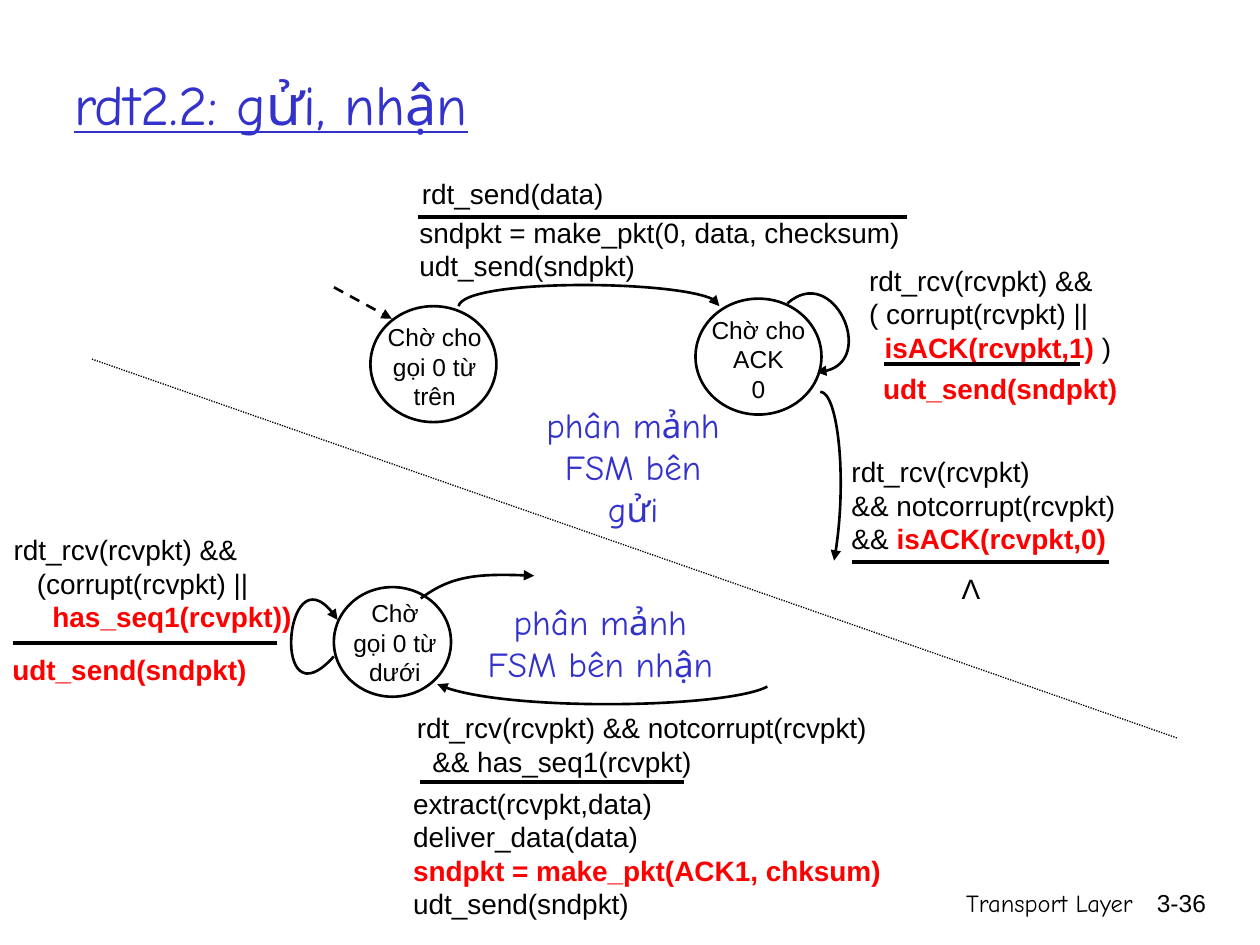
"""Build the rdt2.2 sender and receiver state machine slide."""
from lxml import etree
from pptx import Presentation
from pptx.dml.color import RGBColor
from pptx.enum.dml import MSO_LINE
from pptx.enum.shapes import MSO_CONNECTOR, MSO_SHAPE
from pptx.enum.text import MSO_ANCHOR, PP_ALIGN
from pptx.oxml.ns import qn
from pptx.util import Inches, Pt

BLACK = RGBColor(0x00, 0x00, 0x00)
WHITE = RGBColor(0xFF, 0xFF, 0xFF)
RED = RGBColor(0xFF, 0x00, 0x00)
BLUE = RGBColor(0x33, 0x33, 0xCC)
BODY_FONT = "Arial"
TITLE_FONT = "Comic Neue"
LEFT, CENTER, RIGHT = PP_ALIGN.LEFT, PP_ALIGN.CENTER, PP_ALIGN.RIGHT
MIDDLE, TOP = MSO_ANCHOR.MIDDLE, MSO_ANCHOR.TOP
STRAIGHT, OVAL = MSO_CONNECTOR.STRAIGHT, MSO_SHAPE.OVAL
DASH, DOTS = MSO_LINE.DASH, MSO_LINE.ROUND_DOT


def add_text(shapes, box, lines, size=16, font=BODY_FONT, color=BLACK,
             align=LEFT, anchor=TOP, wrap=True, underline=None):
    """Add lines of text; each line is a list of (text, is_emphasised) runs."""
    label = shapes.add_textbox(*map(Inches, box))
    frame = label.text_frame
    frame.word_wrap = wrap
    frame.vertical_anchor = anchor
    for index, line in enumerate(lines):
        paragraph = frame.add_paragraph() if index else frame.paragraphs[0]
        paragraph.alignment = align
        for text, emphasised in line:
            run = paragraph.add_run()
            run.text = text
            run.font.name = font
            run.font.size = Pt(size)
            run.font.bold = emphasised
            run.font.underline = underline
            run.font.color.rgb = RED if emphasised else color


def plain(*lines):
    """Turn strings into lines without emphasis."""
    return [[(line, False)] for line in lines]


def red(line):
    """Turn a string into one emphasised line."""
    return [(line, True)]


def set_line(shape, width, arrow_end=None):
    """Style an outline, with an arrowhead at headEnd or tailEnd if named."""
    shape.line.color.rgb = BLACK
    shape.line.width = Pt(width)
    if arrow_end:
        outline = shape.line._get_or_add_ln()
        etree.SubElement(outline, qn(f"a:{arrow_end}"), type="triangle")


def add_line(shapes, start, end, width=2.25, dash=None, arrow_end=None):
    """Add a straight line without shadow."""
    line = shapes.add_connector(STRAIGHT, *map(Inches, start + end))
    if dash:
        line.line.dash_style = dash
    set_line(line, width, arrow_end)
    etree.SubElement(line._element.spPr, qn("a:effectLst"))


def add_curve(shapes, points, arrow_end="tailEnd", rotation=0):
    """Add a cubic curve through a start, two control points and an end."""
    start, *others = [(Inches(x), Inches(y)) for x, y in points]
    builder = shapes.build_freeform(*start)
    builder.add_line_segments(others, close=False)
    curve = builder.convert_to_shape()
    segments = list(curve._element.iter(qn("a:lnTo")))
    cubic = etree.SubElement(segments[0].getparent(), qn("a:cubicBezTo"))
    for segment in segments:
        cubic.append(segment[0])
        segment.getparent().remove(segment)
    curve.fill.background()
    curve.shadow.inherit = False
    curve.rotation = rotation
    set_line(curve, 1.5, arrow_end)


def add_state(shapes, circle_box, label_box, lines):
    """Add a state circle grouped with its label."""
    state = shapes.add_group_shape().shapes
    circle = state.add_shape(OVAL, *map(Inches, circle_box))
    circle.fill.solid()
    circle.fill.fore_color.rgb = WHITE
    circle.shadow.inherit = False
    set_line(circle, 1.5)
    add_text(state, label_box, plain(*lines), size=14, align=CENTER)


def add_caption(shapes, box, *lines):
    """Add the blue name of a state machine."""
    add_text(shapes, box, plain(*lines), size=20, font=TITLE_FONT,
             color=BLUE, align=CENTER, wrap=False)


def add_frame(shapes):
    """Add the title, footer and page number."""
    add_text(shapes, (5.92, 7, 3.17, 0.5), plain("Transport Layer"), size=14,
             font=TITLE_FONT, align=RIGHT)
    add_text(shapes, (8.93, 7, 0.74, 0.5), plain("3-36"), size=14, align=RIGHT)
    add_text(shapes, (0.49, 0.19, 8.5, 1.25), plain("rdt2.2: gửi, nhận"),
             size=32, font=TITLE_FONT, color=BLUE, anchor=MIDDLE, underline=True)


def add_sender(shapes):
    """Add the sender's states and transitions."""
    add_state(shapes, (2.94, 2.43, 1, 0.92), (2.87, 2.51, 1.16, 0.67),
              ["Chờ cho gọi 0 từ trên"])
    add_text(shapes, (3.23, 1.66, 4.07, 0.44),
             plain("sndpkt = make_pkt(0, data, checksum)", "udt_send(sndpkt)"))
    add_text(shapes, (3.25, 1.35, 1.89, 0.31), plain("rdt_send(data)"))
    add_line(shapes, (3.32, 1.72), (7.2, 1.72))
    add_line(shapes, (2.65, 2.28), (3.11, 2.53), 1.5, DASH, "tailEnd")
    add_curve(shapes, [(3.64, 2.43), (3.68, 2.21), (5.71, 2.22), (5.71, 2.43)])
    add_curve(shapes, [(6.35, 2.29), (6.81, 2.13), (6.84, 3.07), (6.35, 2.88)],
              rotation=337.4)
    add_text(shapes, (6.91, 2.9, 2.32, 0.44), [red("udt_send(sndpkt)")])
    add_text(shapes, (6.8, 2.04, 2.97, 0.63),
             plain("rdt_rcv(rcvpkt) &&", "( corrupt(rcvpkt) ||")
             + [[("  ", False), ("isACK(rcvpkt,1)", True), (" )", False)]])
    add_line(shapes, (7.02, 2.89), (8.57, 2.89))
    add_curve(shapes, [(6.62, 4.45), (6.73, 3.85), (6.65, 3.11), (6.51, 3.11)],
              "headEnd")
    add_text(shapes, (6.66, 3.56, 2.64, 0.63),
             plain("rdt_rcv(rcvpkt)", "&& notcorrupt(rcvpkt)")
             + [[("&& ", False), ("isACK(rcvpkt,0)", True)]])
    add_line(shapes, (6.76, 4.46), (8.8, 4.46))
    add_text(shapes, (7.5, 4.49, 0.41, 0.37), plain("Λ"), align=CENTER)
    add_state(shapes, (5.52, 2.37, 1, 0.92), (5.44, 2.45, 1.16, 0.67),
              ["Chờ cho ACK", "0"])
    add_caption(shapes, (4.14, 3.15, 1.77, 0.77), "phân mảnh", "FSM bên gửi")


def add_receiver(shapes):
    """Add the receiver's state and transitions."""
    add_state(shapes, (2.65, 4.66, 0.93, 0.87), (2.7, 4.7, 0.87, 0.67),
              ["Chờ gọi 0 từ dưới"])
    add_curve(shapes, [(3.34, 4.75), (3.58, 4.57), (3.82, 4.55), (4.24, 4.57)])
    add_curve(shapes, [(3.47, 5.43), (3.93, 5.65), (5.76, 5.62), (6.09, 5.45)],
              "headEnd")
    add_text(shapes, (3.21, 5.59, 4.31, 0.63),
             plain("rdt_rcv(rcvpkt) && notcorrupt(rcvpkt)",
                   "  && has_seq1(rcvpkt)"))
    add_line(shapes, (3.33, 6.21), (5.43, 6.21))
    add_text(shapes, (3.18, 6.19, 4.57, 0.76),
             plain("extract(rcvpkt,data)", "deliver_data(data)")
             + [red("sndpkt = make_pkt(ACK1, chksum)")]
             + plain("udt_send(sndpkt)"))
    add_curve(shapes, [(2.65, 5.21), (2.15, 5.77), (2.26, 4.28), (2.68, 4.92)])
    add_line(shapes, (0.1, 5.1), (2.2, 5.1))
    add_text(shapes, (0.01, 4.18, 2.58, 0.7),
             plain("rdt_rcv(rcvpkt) &&", "   (corrupt(rcvpkt) ||")
             + [[("     ", False), ("has_seq1(rcvpkt))", True)]])
    add_text(shapes, (0, 5.13, 2.23, 0.45), [red("udt_send(sndpkt)")])
    add_caption(shapes, (3.77, 4.72, 1.99, 0.77), "phân mảnh", "FSM bên nhận")


def main():
    """Create and save the slide."""
    deck = Presentation()
    deck.slide_width, deck.slide_height = Inches(10), Inches(7.5)
    shapes = deck.slides.add_slide(deck.slide_layouts[6]).shapes
    add_frame(shapes)
    add_sender(shapes)
    add_receiver(shapes)
    add_line(shapes, (0.73, 2.85), (9.35, 5.86), 0.75, DOTS)
    deck.save("out.pptx")


if __name__ == "__main__":
    main()
